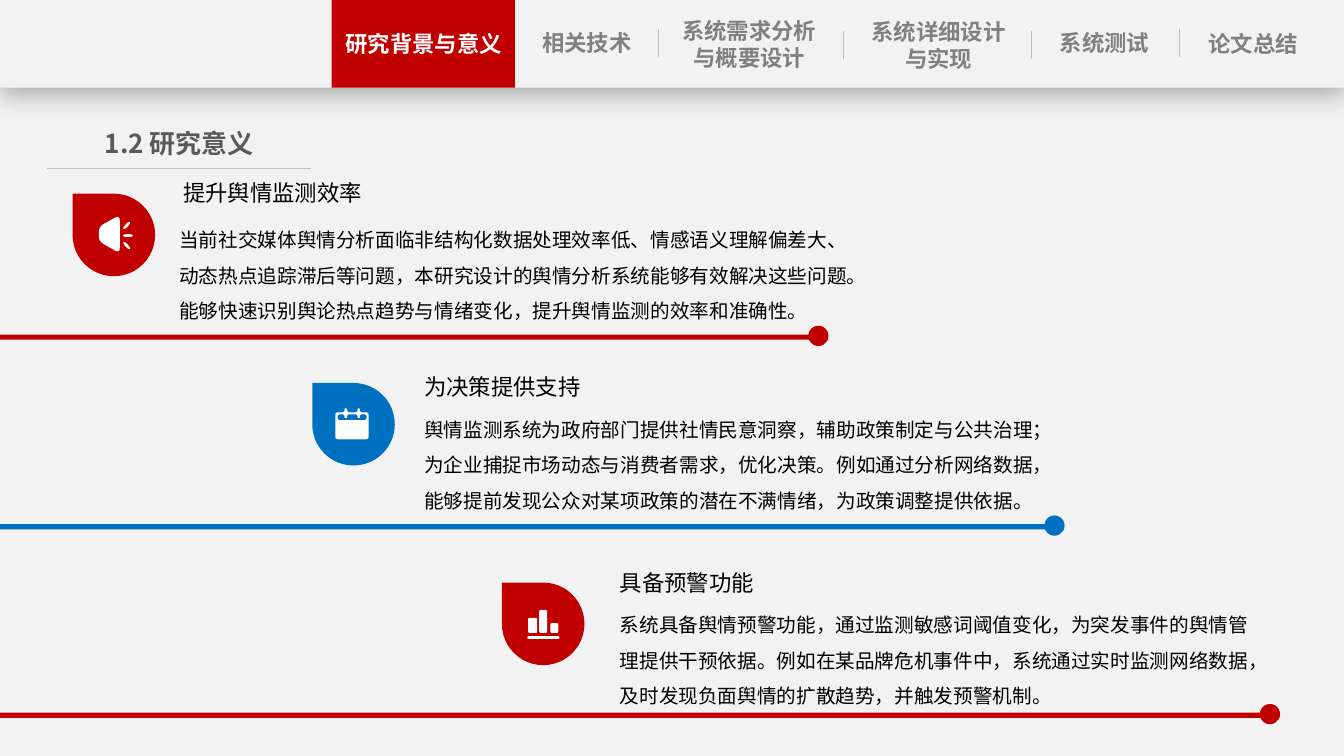
import lxml.etree
import pptx
import pptx.dml.color
import pptx.enum.shapes
import pptx.enum.text
import pptx.oxml
import pptx.oxml.ns
import pptx.util

Cm = pptx.util.Cm
Pt = pptx.util.Pt
SHAPE = pptx.enum.shapes.MSO_SHAPE
ALIGN = pptx.enum.text.PP_ALIGN
ANCHOR = pptx.enum.text.MSO_ANCHOR
qn = pptx.oxml.ns.qn
FONT = "Noto Sans CJK SC"
RED, BLUE, PALE, GREY = "C00000", "0070C0", "F2F2F2", "808080"


def colour(value):
    return pptx.dml.color.RGBColor.from_string(value)


def round_corners(corners, cut):
    points = []
    for index, (x, y) in enumerate(corners):
        ends = []
        for nx, ny in (corners[index - 1], corners[(index + 1) % len(corners)]):
            length = ((nx - x) ** 2 + (ny - y) ** 2) ** 0.5
            part = min(cut / length, 0.5)
            ends.append((x + (nx - x) * part, y + (ny - y) * part))
        (ax, ay), (bx, by) = ends
        for step in range(5):
            t = step / 4
            a, m, b = (1 - t) ** 2, 2 * t * (1 - t), t ** 2
            points.append((round(10 * (a * ax + m * x + b * bx)), round(10 * (a * ay + m * y + b * by))))
    return points


deck = pptx.Presentation()
deck.slide_width, deck.slide_height = Cm(33.87), Cm(19.05)
page = deck.slides.add_slide(deck.slide_layouts[5])
page.background.fill.solid()
page.background.fill.fore_color.rgb = colour(PALE)

megaphone = [
    [(66, 83), (119, 54), (119, 150), (66, 120)],
    [(127, 102), (152, 102), (152, 109), (127, 109)],
    [(126, 86), (142, 69), (147, 74), (131, 91)],
    [(126, 125), (142, 142), (147, 137), (131, 120)],
]
calendar = [
    [(58, 74), (81, 74), (81, 64), (88, 64), (88, 74), (114, 74), (114, 64), (120, 64), (120, 74),
     (142, 74), (142, 142), (58, 142)],
    [(64, 79), (81, 79), (81, 89), (88, 89), (88, 79), (114, 79), (114, 89), (120, 89), (120, 79),
     (137, 79), (137, 94), (64, 94)],
]
chart_bars = [
    [(left, top), (right, top), (right, bottom), (left, bottom)]
    for left, top, right, bottom in [(64, 135, 145, 142), (66, 89, 89, 127), (94, 69, 114, 127), (122, 102, 142, 127)]
]

sections = [
    {"colour": RED, "drop": (1.83, 4.88), "bar": (8.43, 20.62), "icon": megaphone, "cut": 14,
     "heading": (4.62, 3.48), "body": (4.52, 5.46, 17.27), "title": "提升舆情监测效率",
     "text": "当前社交媒体舆情分析面临非结构化数据处理效率低、情感语义理解偏差大、动态热点追踪滞后等问题，本研究设计的舆情分析系统能够有效解决这些问题。能够快速识别舆论热点趋势与情绪变化，提升舆情监测的效率和准确性。"},
    {"colour": BLUE, "drop": (7.87, 9.65), "bar": (13.21, 26.57), "icon": calendar, "cut": 7,
     "heading": (10.69, 8.38), "body": (10.69, 10.24, 16.13), "title": "为决策提供支持",
     "text": "舆情监测系统为政府部门提供社情民意洞察，辅助政策制定与公共治理；为企业捕捉市场动态与消费者需求，优化决策。例如通过分析网络数据，能够提前发现公众对某项政策的潜在不满情绪，为政策调整提供依据。"},
    {"colour": RED, "drop": (12.65, 14.68), "bar": (17.96, 32), "icon": chart_bars, "cut": 5,
     "heading": (15.62, 13.31), "body": (15.62, 15.16, 16.13), "title": "具备预警功能",
     "text": "系统具备舆情预警功能，通过监测敏感词阈值变化，为突发事件的舆情管理提供干预依据。例如在某品牌危机事件中，系统通过实时监测网络数据，及时发现负面舆情的扩散趋势，并触发预警机制。"},
]

label = {"align": ALIGN.CENTER, "spacing": 1.0, "anchor": ANCHOR.TOP, "inset": 0.13, "bold": True}
passage = {"align": ALIGN.LEFT, "spacing": 1.5, "anchor": ANCHOR.TOP, "inset": 0, "bold": False}
heading = {**passage, "spacing": 1.3, "anchor": ANCHOR.BOTTOM}

blocks = [
    (SHAPE.RECTANGLE, 0, 0, 33.87, 2.21, PALE),
    (SHAPE.RECTANGLE, 8.36, 0, 4.62, 2.21, RED),
]
texts = [
    ("1.2 研究意义", 2.26, 3.07, 4.52, 1.07, 18.6, "595959", label),
    ("研究背景与意义", 8.56, 0.63, 4.24, 0.97, 16, "FFFFFF", label),
    ("相关技术", 12.93, 0.61, 3.73, 0.97, 16, GREY, label),
    ("系统需求分析与概要设计", 17.02, 0.3, 3.73, 1.63, 16, GREY, label),
    ("系统详细设计与实现", 21.79, 0.33, 3.73, 1.63, 16, GREY, label),
    ("系统测试", 26.26, 0.61, 3.15, 0.97, 16, GREY, label),
    ("论文总结", 29.72, 0.63, 3.73, 0.97, 16, GREY, label),
]
for section in sections:
    bar_top, bar_end = section["bar"]
    blocks += [
        (SHAPE.TEAR, *section["drop"], 2.08, 2.08, section["colour"]),
        (SHAPE.RECTANGLE, 0, bar_top, bar_end, 0.13, section["colour"]),
        (SHAPE.OVAL, bar_end - 0.25, bar_top - 0.22, 0.51, 0.51, section["colour"]),
    ]
    texts += [
        (section["title"], *section["heading"], 16.13, 1.7, 16, "000000", heading),
        (section["text"], *section["body"], 2.46, 14, "000000", passage),
    ]

shapes = []
for kind, left, top, width, height, fill in blocks:
    shape = page.shapes.add_shape(kind, Cm(left), Cm(top), Cm(width), Cm(height))
    shape.rotation = 270 if kind == SHAPE.TEAR else 0
    shapes.append((shape, fill))

for section in sections:
    left, top = section["drop"]
    contours = [round_corners(corners, section["cut"]) for corners in section["icon"]]
    builder = page.shapes.build_freeform(*contours[0][0], scale=Cm(0.001))
    for contour in contours:
        builder.move_to(*contour[0])
        builder.add_line_segments(contour[1:], close=True)
    shapes.append((builder.convert_to_shape(Cm(left), Cm(top)), "FFFFFF"))

for shape, fill in shapes:
    shape.shadow.inherit = False
    shape.fill.solid()
    shape.fill.fore_color.rgb = colour(fill)
    shape.line.fill.background()

header = shapes[0][0]
header.element.spPr.find(qn("a:effectLst")).append(pptx.oxml.parse_xml(
    '<a:outerShdw xmlns:a="http://schemas.openxmlformats.org/drawingml/2006/main" blurRad="228600" '
    'dist="50800" dir="5400000" algn="t" rotWithShape="0"><a:srgbClr val="000000">'
    '<a:alpha val="29000"/></a:srgbClr></a:outerShdw>'))

rules = [(1.19, 4.24, 7.85, 4.24)]
rules += [(x, y, x, y + 0.69) for x, y in [(16.59, 0.74), (21.26, 0.79), (25.98, 0.79), (29.72, 0.74)]]
for ends in rules:
    rule = page.shapes.add_connector(pptx.enum.shapes.MSO_CONNECTOR.STRAIGHT, *map(Cm, ends))
    rule.line.color.rgb = colour("BFBFBF")
    rule.line.width = Pt(0.5)
    lxml.etree.SubElement(rule.element.spPr, qn("a:effectLst"))

for index, (words, left, top, width, height, size, ink, style) in enumerate(texts):
    box = page.shapes.title if index == 0 else page.shapes.add_textbox(0, 0, 0, 0)
    place = {"left": Cm(left), "top": Cm(top), "width": Cm(width), "height": Cm(height)}
    frame = box.text_frame
    frame_format = {
        "word_wrap": True, "auto_size": pptx.enum.text.MSO_AUTO_SIZE.NONE,
        "vertical_anchor": style["anchor"], "margin_left": 0, "margin_right": 0,
        "margin_top": Cm(style["inset"]), "margin_bottom": Cm(style["inset"]),
    }
    para = frame.paragraphs[0]
    span = para.add_run()
    span.text = words
    para_format = {"alignment": style["align"], "line_spacing": style["spacing"]}
    font_format = {"name": FONT, "size": Pt(size), "bold": style["bold"]}
    for target, values in [(box, place), (frame, frame_format), (para, para_format), (span.font, font_format)]:
        for name, value in values.items():
            setattr(target, name, value)
    span.font.color.rgb = colour(ink)
    lxml.etree.SubElement(span.font._element, qn("a:ea"), typeface=FONT)

deck.save("out.pptx")
